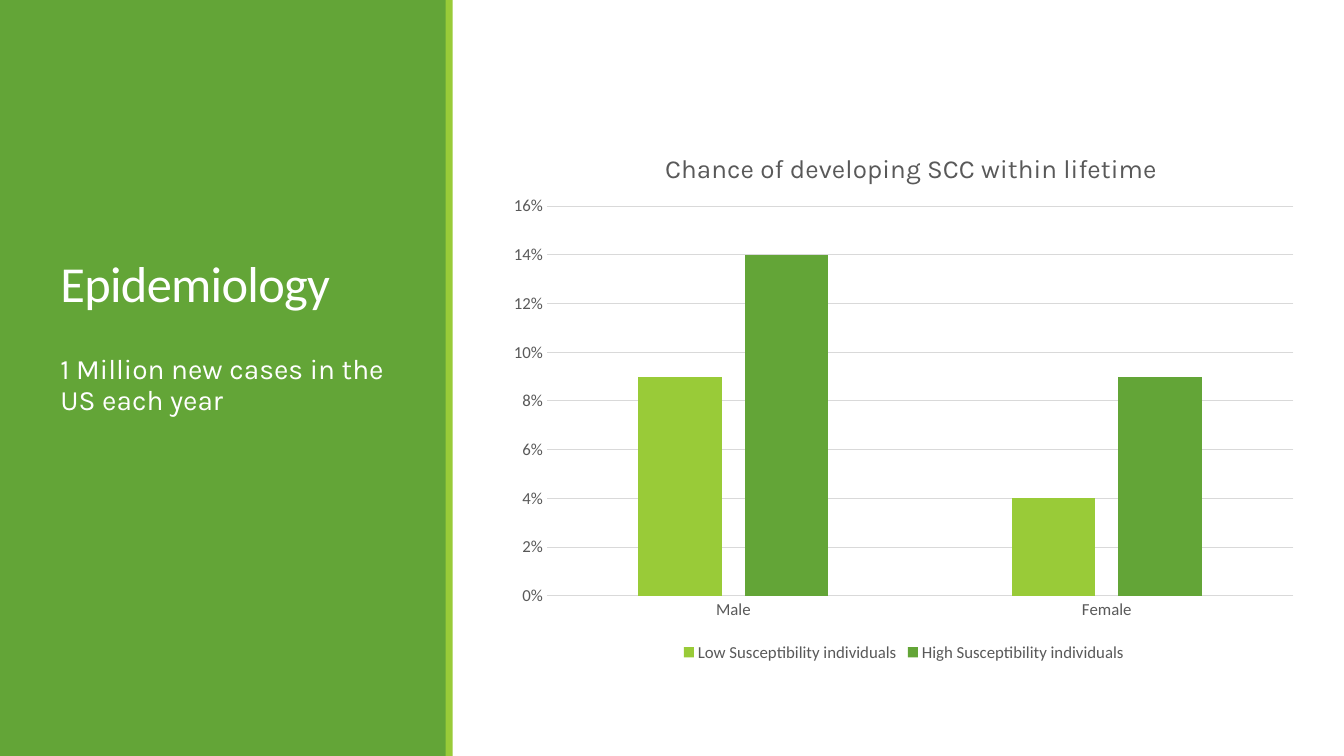
from lxml import etree
from pptx import Presentation
from pptx.chart.data import CategoryChartData
from pptx.dml.color import RGBColor
from pptx.enum.chart import XL_CHART_TYPE, XL_LEGEND_POSITION, XL_TICK_MARK
from pptx.enum.shapes import MSO_SHAPE
from pptx.enum.text import MSO_ANCHOR, MSO_AUTO_SIZE, PP_ALIGN
from pptx.oxml.ns import qn
from pptx.util import Inches, Pt

COLORS = {"green": "63A537", "lime": "99CB38", "white": "FFFFFF",
          "label": "595959", "grid": "D9D9D9"}
SERIES = [("Low Susceptibility individuals", (0.09, 0.04), "lime"),
          ("High Susceptibility individuals", (0.14, 0.09), "green")]


def color(name):
    return RGBColor.from_string(COLORS[name])


def apply(target, values):
    for key, value in values.items():
        setattr(target, key, value)


def style_font(font, name, size, color_name):
    apply(font, {"name": name, "size": Pt(size), "bold": False})
    font.color.rgb = color(color_name)


def style_line(line, color_name):
    line.color.rgb = color(color_name)
    line.width = Pt(0.75)


def add_band(slide, left, width, color_name):
    band = slide.shapes.add_shape(MSO_SHAPE.RECTANGLE, Inches(left), 0,
                                  Inches(width), Inches(7.5))
    band.shadow.inherit = False
    band.fill.solid()
    band.fill.fore_color.rgb = color(color_name)
    band.line.fill.background()


def fill_text(frame, text, anchor, font_name, size, spacing):
    apply(frame, {"word_wrap": True, "auto_size": MSO_AUTO_SIZE.NONE,
                  "vertical_anchor": anchor})
    paragraph = frame.paragraphs[0]
    apply(paragraph, {"alignment": PP_ALIGN.LEFT, **spacing})
    run = paragraph.add_run()
    run.text = text
    style_font(run.font, font_name, size, "white")
    return run


def add_heading(slide, text):
    heading = slide.shapes.title
    apply(heading, {"left": Inches(0.5), "top": Inches(0.65),
                    "width": Inches(3.5), "height": Inches(2.5)})
    run = fill_text(heading.text_frame, text, MSO_ANCHOR.BOTTOM, "Calibri", 36,
                    {"line_spacing": 0.85})
    run.font._element.set("spc", "-50")


def add_summary(slide, text):
    summary = slide.shapes.add_textbox(Inches(0.5), Inches(3.48),
                                       Inches(3.5), Inches(3.7))
    fill_text(summary.text_frame, text, MSO_ANCHOR.TOP, "Karla", 20,
              {"line_spacing": 0.9, "space_after": Pt(2)})


def place(part, index, **values):
    for old in part.findall(qn("c:layout")):
        part.remove(old)
    layout = etree.Element(qn("c:layout"))
    manual = etree.SubElement(layout, qn("c:manualLayout"))
    for key, value in values.items():
        etree.SubElement(manual, qn("c:" + key)).set("val", str(value))
    part.insert(index, layout)


def style_axes(chart):
    for axis in (chart.category_axis, chart.value_axis):
        apply(axis, {"major_tick_mark": XL_TICK_MARK.NONE,
                     "minor_tick_mark": XL_TICK_MARK.NONE})
        style_font(axis.tick_labels.font, "Calibri", 12, "label")
    style_line(chart.category_axis.format.line, "grid")
    values = chart.value_axis
    apply(values, {"minimum_scale": 0, "maximum_scale": 0.16, "major_unit": 0.02})
    values.format.line.fill.background()
    style_line(values.major_gridlines.format.line, "grid")
    apply(values.tick_labels, {"number_format": "0%",
                               "number_format_is_linked": False})


def add_risk_chart(slide, heading):
    data = CategoryChartData(number_format="0%")
    data.categories = ["Male", "Female"]
    for name, values, _ in SERIES:
        data.add_series(name, values)
    chart = slide.shapes.add_chart(
        XL_CHART_TYPE.COLUMN_CLUSTERED, Inches(4.94), Inches(1.24),
        Inches(8.05), Inches(5.37), data).chart
    style_font(chart.font, "Calibri", 10, "label")

    title = chart.chart_title
    title.text_frame.text = heading
    style_font(title.text_frame.paragraphs[0].runs[0].font, "Karla", 18.6, "label")
    place(title._element, 1, xMode="edge", yMode="edge", x=0.2, y=0.04)

    plot = chart.plots[0]
    apply(plot, {"gap_width": 219, "overlap": -27, "vary_by_categories": False})
    for series, (_, _, color_name) in zip(plot.series, SERIES):
        series.format.fill.solid()
        series.format.fill.fore_color.rgb = color(color_name)
    style_axes(chart)
    place(chart._chartSpace.chart.plotArea, 0, layoutTarget="inner",
          xMode="edge", yMode="edge", x=0.06, y=0.15, w=0.92, h=0.72)

    chart.has_legend = True
    apply(chart.legend, {"position": XL_LEGEND_POSITION.BOTTOM,
                         "include_in_layout": False})
    style_font(chart.legend.font, "Calibri", 12, "label")


def main():
    deck = Presentation()
    apply(deck, {"slide_width": Inches(13.33), "slide_height": Inches(7.5)})
    slide = deck.slides.add_slide(deck.slide_layouts[5])
    slide.background.fill.solid()
    slide.background.fill.fore_color.rgb = color("white")
    add_band(slide, 0, 4.43, "green")
    add_band(slide, 4.42, 0.07, "lime")
    tree = slide.shapes._spTree
    tree.append(slide.shapes.title._element)
    add_heading(slide, "Epidemiology")
    add_summary(slide, "1 Million new cases in the US each year")
    add_risk_chart(slide, "Chance of developing SCC within lifetime")
    deck.save("out.pptx")


if __name__ == "__main__":
    main()
